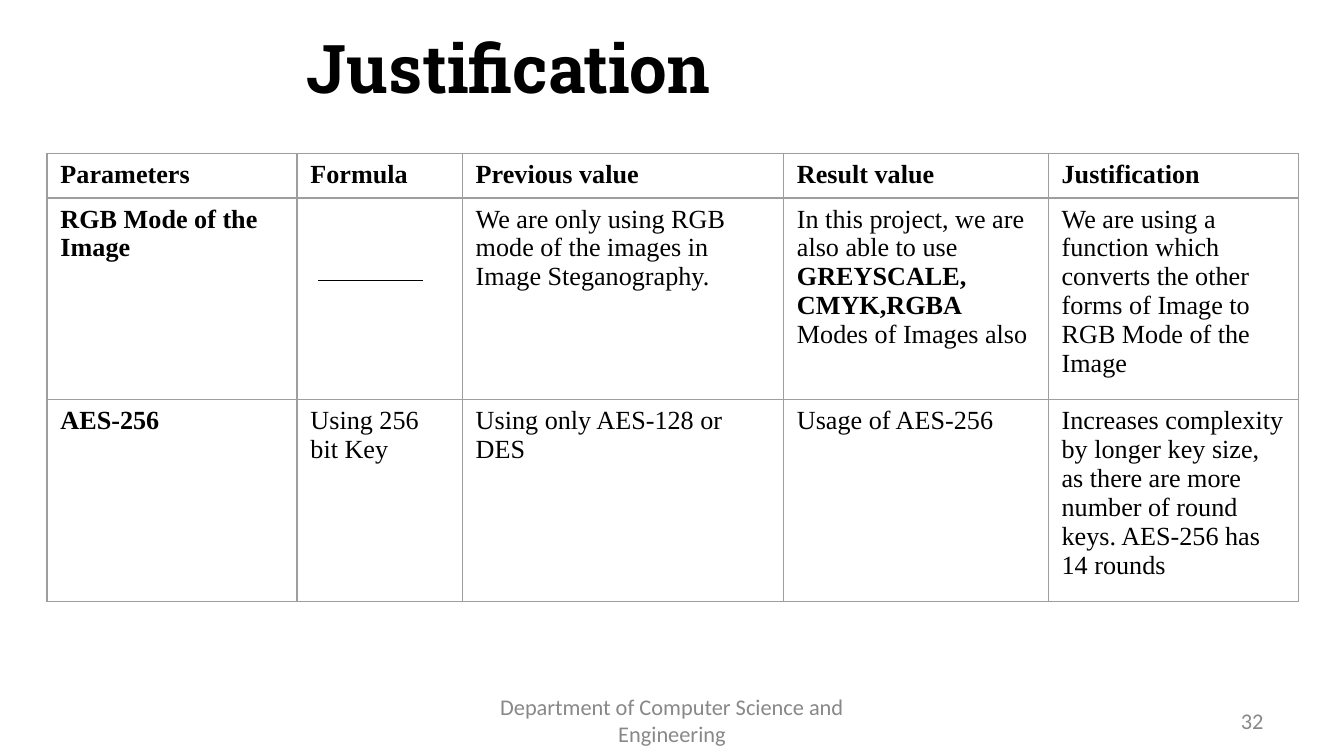
from lxml import etree
from pptx import Presentation
from pptx.dml.color import RGBColor
from pptx.enum.shapes import MSO_CONNECTOR
from pptx.enum.text import MSO_ANCHOR, PP_ALIGN
from pptx.oxml.ns import qn
from pptx.util import Inches, Pt

LEFT, MID, RIGHT = PP_ALIGN.LEFT, PP_ALIGN.CENTER, PP_ALIGN.RIGHT
CENTRE = MSO_ANCHOR.MIDDLE
LINE = MSO_CONNECTOR.STRAIGHT

WIDTH = 10
HEIGHT = WIDTH * 9 / 16
COLORS = {"ink": "000000", "grey": "888888", "rule": "9E9E9E"}
COLS = [1.86, 1.23, 2.39, 1.97, 1.86]
ROWS = [0.32, 1.39, 1.44]

# Each cell is a list of (text, bold) runs
HEAD = [[(name, True)] for name in
        ("Parameters", "Formula", "Previous value", "Result value", "Justification")]
BODY = [
    [
        [("RGB Mode of the Image", True)],
        [],
        [("We are only using RGB mode of the images in Image Steganography.", False)],
        [("In this project, we are also able to use ", False),
         ("GREYSCALE, CMYK,RGBA", True),
         (" Modes of Images also", False)],
        [("We are using a function which converts the other forms of Image "
          "to RGB Mode of the Image", False)],
    ],
    [
        [("AES-256", True)],
        [("Using 256 bit Key", False)],
        [("Using only AES-128 or DES", False)],
        [("Usage of AES-256", False)],
        [("Increases complexity by longer key size, as there are more number "
          "of round keys. AES-256 has 14 rounds", False)],
    ],
]


def write(frame, runs, font="Times New Roman", size=14, color="ink", align=LEFT):
    frame.word_wrap = True
    para = frame.paragraphs[0]
    para.alignment = align
    para.font.size = Pt(size)
    for text, bold in runs:
        run = para.add_run()
        run.text = text
        run.font.name = font
        run.font.size = Pt(size)
        run.font.bold = bold
        run.font.color.rgb = RGBColor.from_string(COLORS[color])


def label(slide, box, text, bold=False, **style):
    frame = slide.shapes.add_textbox(*map(Inches, box)).text_frame
    frame.vertical_anchor = CENTRE
    write(frame, [(text, bold)], **style)


def border(cell):
    props = cell._tc.get_or_add_tcPr()
    for spot, side in enumerate(("lnL", "lnR", "lnT", "lnB")):
        edge = etree.Element(qn(f"a:{side}"), w=str(Pt(0.75)))
        fill = etree.SubElement(edge, qn("a:solidFill"))
        etree.SubElement(fill, qn("a:srgbClr"), val=COLORS["rule"])
        props.insert(spot, edge)


def grid(slide, box):
    table = slide.shapes.add_table(len(ROWS), len(COLS), *map(Inches, box)).table
    table.first_row = table.horz_banding = False
    for col, size in zip(table.columns, COLS):
        col.width = Inches(size)
    for row, size, cells in zip(table.rows, ROWS, [HEAD, *BODY]):
        row.height = Inches(size)
        for cell, runs in zip(row.cells, cells):
            cell.margin_left = cell.margin_right = Inches(0.1)
            cell.margin_top = cell.margin_bottom = Inches(0.05)
            cell.fill.background()
            border(cell)
            write(cell.text_frame, runs)


def dash(slide, box):
    # Rule that marks the empty formula cell
    left, top, width, height = box
    level = top + 0.45 * height
    start = left + 0.13 * width
    end = left + 0.76 * width
    rule = slide.shapes.add_connector(LINE, *map(Inches, (start, level, end, level)))
    rule.line.color.rgb = RGBColor.from_string(COLORS["ink"])
    rule.line.width = Pt(0.75)
    etree.SubElement(rule._element.spPr, qn("a:effectLst"))


def footer(slide, box):
    left, top, width, height = box
    style = {"font": "Calibri", "size": 12, "color": "grey"}
    label(slide, (left + 0.325 * width, top, 0.35 * width, height),
          "Department of Computer Science and Engineering", align=MID, **style)
    label(slide, (left + 0.74 * width, top, 0.26 * width, height),
          "32", align=RIGHT, **style)


def main():
    deck = Presentation()
    deck.slide_width, deck.slide_height = Inches(WIDTH), Inches(HEIGHT)
    slide = deck.slides.add_slide(deck.slide_layouts[6])

    # Title
    label(slide, (0.44, 0.15, 6.69, 0.69), "Justification", bold=True,
          font="Roboto Slab", size=36, align=MID)

    # Comparison table
    left, top = 0.35, 1.14
    grid(slide, (left, top, sum(COLS), sum(ROWS)))
    dash(slide, (left + COLS[0], top + ROWS[0], COLS[1], ROWS[1]))

    # Footer
    footer(slide, (0.5, 5.21, 0.9 * WIDTH, 0.3))
    deck.save("out.pptx")


if __name__ == "__main__":
    main()
